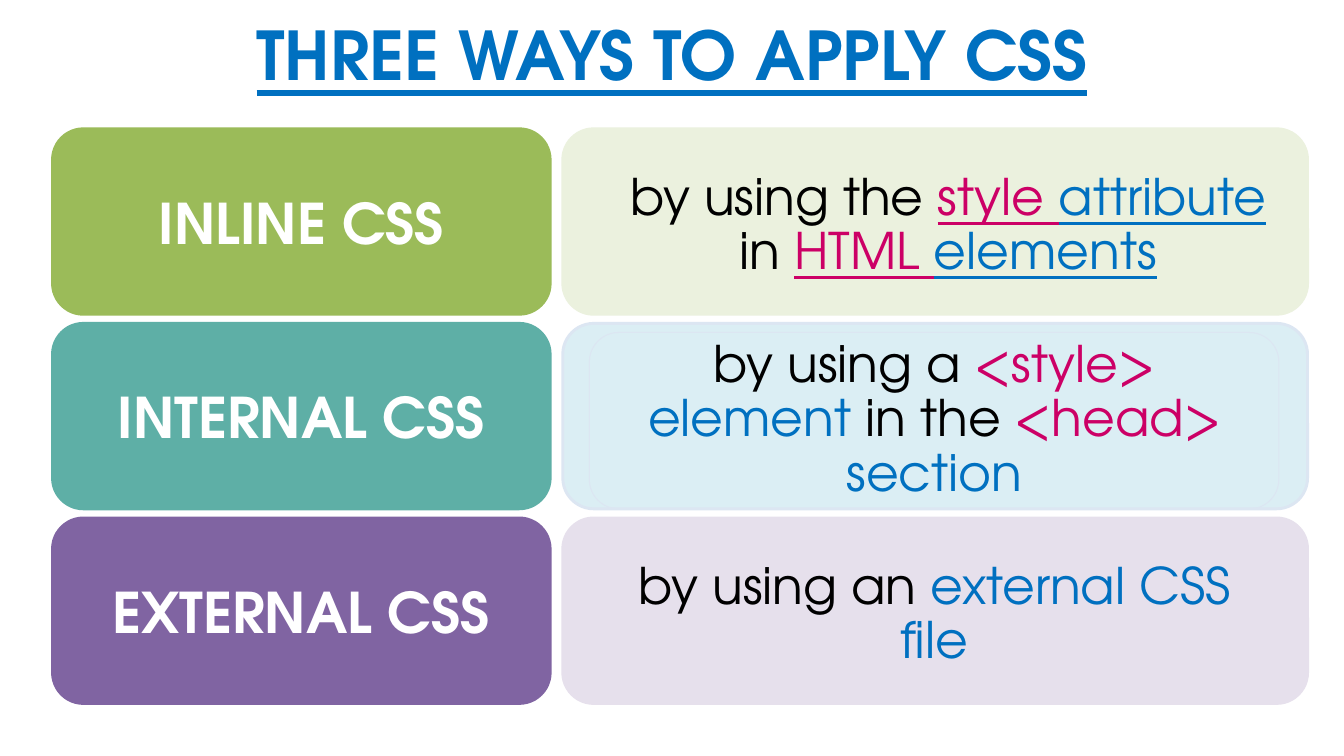
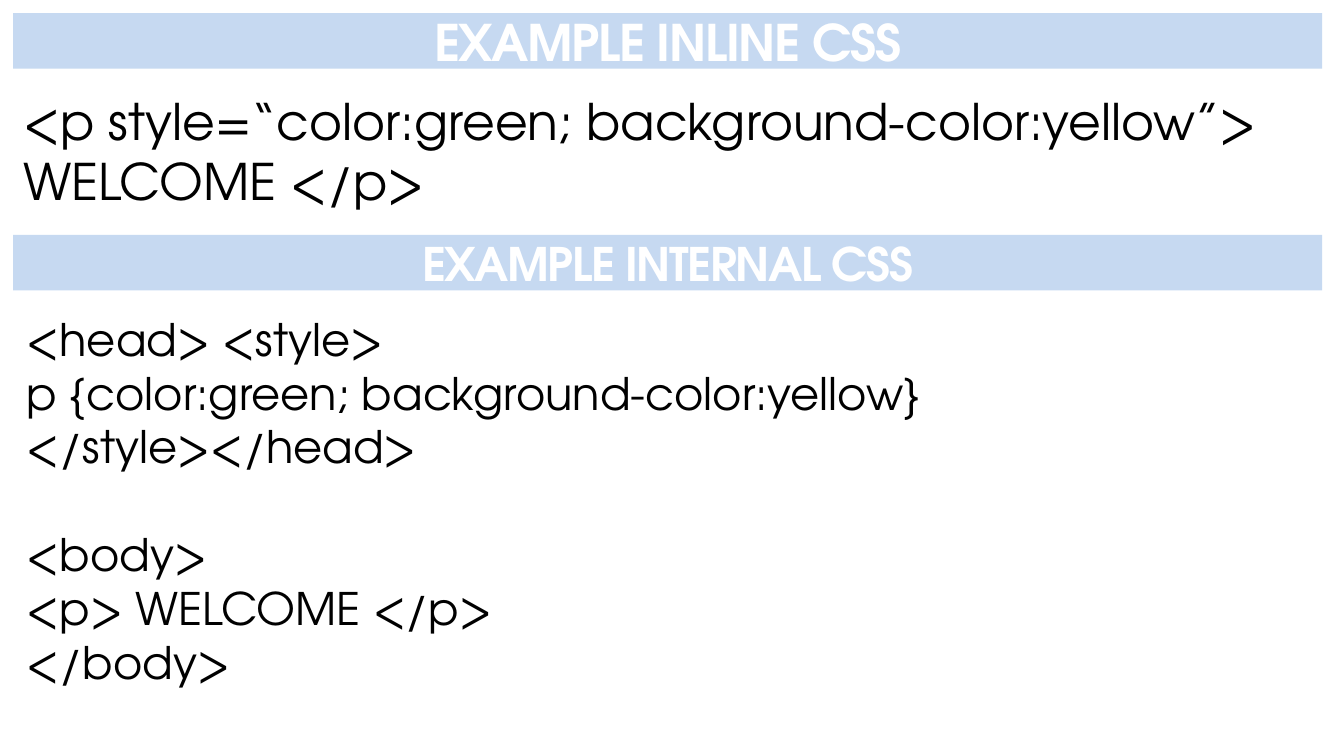
from dataclasses import dataclass

from lxml.etree import SubElement
from pptx import Presentation
from pptx.dml.color import RGBColor
from pptx.enum.shapes import MSO_SHAPE
from pptx.enum.text import MSO_ANCHOR, MSO_AUTO_SIZE, PP_ALIGN
from pptx.oxml.ns import qn
from pptx.util import Pt


@dataclass(frozen=True)
class Theme:
    font: str = "TeX Gyre Adventor"
    white: str = "FFFFFF"
    black: str = "000000"
    blue: str = "0070C0"
    pink: str = "CC0066"
    band: str = "C6D9F1"
    title_size: int = 48
    card_size: int = 40
    body_size: int = 36
    band_size: int = 33
    code_size: int = 32


THEME = Theme()


def color(value):
    return RGBColor.from_string(value)


def write_text(frame, paragraphs, *, size, ink=THEME.black, bold=False,
               underline=False, align=PP_ALIGN.LEFT, anchor=MSO_ANCHOR.TOP,
               line_spacing=None, tracking=0, margins=(7.2, 3.6, 7.2, 3.6)):
    """Each paragraph is a string or a list of (text, ink, underline) spans."""
    frame.word_wrap = True
    frame.auto_size = MSO_AUTO_SIZE.NONE
    frame.vertical_anchor = anchor
    (frame.margin_left, frame.margin_top,
     frame.margin_right, frame.margin_bottom) = map(Pt, margins)
    for index, content in enumerate(paragraphs):
        para = frame.paragraphs[0] if index == 0 else frame.add_paragraph()
        para.alignment = align
        if line_spacing:
            para.line_spacing = line_spacing
        spans = [(content, ink, underline)] if isinstance(content, str) else content
        for text, span_ink, span_underline in spans:
            span = para.add_run()
            span.text = text
            span.font.name = THEME.font
            span.font.size = Pt(size)
            span.font.bold = bold
            span.font.underline = span_underline
            span.font.color.rgb = color(span_ink)
            if tracking:
                span.font._element.set("spc", str(tracking * 100))


class SlideBuilder:
    def __init__(self, theme):
        self.theme = theme
        self.deck = Presentation()
        self.deck.slide_width, self.deck.slide_height = Pt(960), Pt(540)
        self.slide = None

    def new_slide(self, layout):
        self.slide = self.deck.slides.add_slide(self.deck.slide_layouts[layout])

    def place(self, item, left, top, width, height):
        item.left, item.top = Pt(left), Pt(top)
        item.width, item.height = Pt(width), Pt(height)
        return item

    def shape(self, kind, bounds, fill=None, line=None, line_width=2.08):
        box = self.slide.shapes.add_shape(kind, *map(Pt, bounds))
        box.shadow.inherit = False
        if fill:
            box.fill.solid()
            box.fill.fore_color.rgb = color(fill)
        else:
            box.fill.background()
        if line:
            box.line.color.rgb = color(line)
            box.line.width = Pt(line_width)
        else:
            box.line.fill.background()
        return box

    def title(self, text, bounds):
        box = self.place(self.slide.shapes.title, *bounds)
        write_text(box.text_frame, [text], size=self.theme.title_size,
                   ink=self.theme.blue, bold=True, underline=True,
                   align=PP_ALIGN.CENTER, anchor=MSO_ANCHOR.MIDDLE)

    def band(self, text, top, size, is_title=False):
        bounds = (9.4, top, 935, 39.6)
        if is_title:
            box = self.place(self.slide.shapes.title, *bounds)
            box.fill.solid()
            box.fill.fore_color.rgb = color(self.theme.band)
        else:
            box = self.shape(MSO_SHAPE.RECTANGLE, bounds, self.theme.band)
        write_text(box.text_frame, [text], size=size, ink=self.theme.white,
                   bold=True, tracking=-1, align=PP_ALIGN.CENTER,
                   anchor=MSO_ANCHOR.MIDDLE)

    def card(self, content, bounds, fill, line=None, **text_format):
        box = self.shape(MSO_SHAPE.ROUNDED_RECTANGLE, bounds, fill, line or fill)
        write_text(box.text_frame, [content], align=PP_ALIGN.CENTER,
                   anchor=MSO_ANCHOR.MIDDLE, line_spacing=0.9, **text_format)

    def body(self, text, bounds):
        box = self.place(self.slide.placeholders[1], *bounds)
        write_text(box.text_frame, [text], size=self.theme.body_size)
        for para in box.text_frame.paragraphs:
            properties = para._p.get_or_add_pPr()
            properties.set("marL", "0")
            properties.set("indent", "0")
            SubElement(properties, qn("a:buNone"))

    def code(self, lines, bounds, gap_before):
        box = self.slide.shapes.add_textbox(*map(Pt, bounds))
        write_text(box.text_frame, lines, size=self.theme.code_size)
        # One empty line's height sets the second block apart
        gap = Pt(self.theme.code_size * 1.2)
        box.text_frame.paragraphs[gap_before].space_before = gap


def plain(text):
    return text, THEME.black, False


def blue(text, underline=False):
    return text, THEME.blue, underline


def pink(text, underline=False):
    return text, THEME.pink, underline


# Name, name fill, explanation, explanation fill, border, right margin
WAYS = [
    ("INLINE CSS", "9BBB59",
     [plain("by using the "), pink("style ", True), blue("attribute", True),
      plain(" in "), pink("HTML ", True), blue("elements", True)],
     "EBF1DE", None, 5.5),
    ("INTERNAL CSS", "5EAFA6",
     [plain("by using a "), pink("<style> "), blue("element"),
      plain(" in the "), pink("<head> "), blue("section")],
     "DBEEF4", "DCE6F2", 25),
    ("EXTERNAL CSS", "8064A2",
     [plain("by using an "), blue("external CSS file")],
     "E6E0EC", None, 25),
]


def build_ways(builder):
    builder.new_slide(5)
    builder.title("THREE WAYS TO APPLY CSS", (0, -6.5, 960, 89.3))
    first_top, pitch, height = 92, 139, 132.5
    for row, (name, fill, spans, pale, border, right) in enumerate(WAYS):
        top = first_top + row * pitch
        builder.card(name, (37.5, top, 355.5, height), fill,
                     size=THEME.card_size, ink=THEME.white, bold=True,
                     margins=(14, 12, 14, 5.5))
        builder.card(spans, (402, top, 532, height), pale, border,
                     size=THEME.body_size, margins=(24, 11.5, right, 5))
        if border:
            builder.shape(MSO_SHAPE.ROUNDED_RECTANGLE,
                          (421, top + 6.5, 492.5, 126), line=border,
                          line_width=0.75)


def build_examples(builder):
    builder.new_slide(1)
    # Inline example
    builder.band("EXAMPLE INLINE CSS", 9.4, THEME.body_size, is_title=True)
    builder.body("<p style=“color:green; background-color:yellow”> WELCOME </p>",
                 (9.4, 60.5, 929.5, 93))
    # Internal example
    builder.code(["<head> <style>",
                  "p {color:green; background-color:yellow}",
                  "</style></head>",
                  "<body>",
                  "<p> WELCOME </p>",
                  "</body>"],
                 (12.2, 219, 933, 240), gap_before=3)
    builder.band("EXAMPLE INTERNAL CSS", 167.8, THEME.band_size)


def main():
    builder = SlideBuilder(THEME)
    build_ways(builder)
    build_examples(builder)
    builder.deck.save("out.pptx")


if __name__ == "__main__":
    main()
